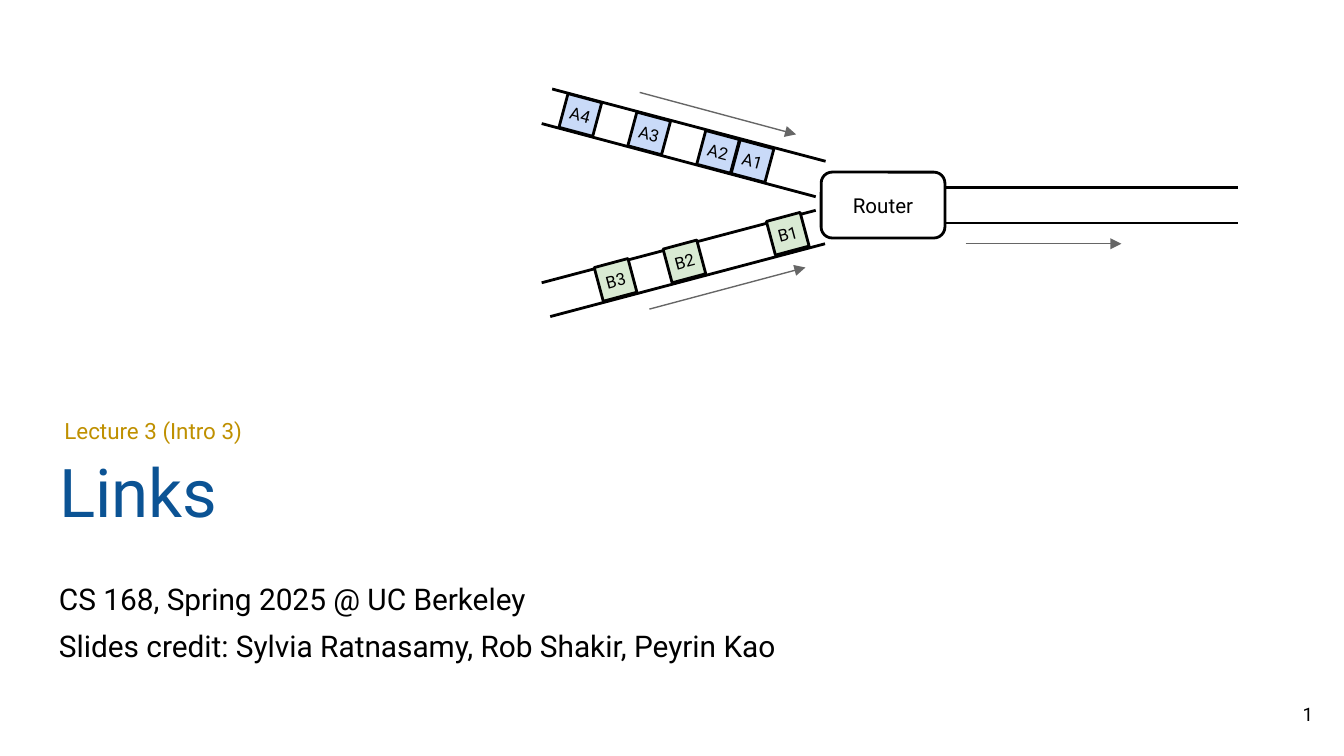
import math

from lxml import etree
from pptx import Presentation
from pptx import util as u
from pptx.dml.color import RGBColor
from pptx.enum import shapes, text
from pptx.oxml.ns import qn

BLACK, GREY, BLUE, GOLD = "000000", "666666", "0B5394", "BF9000"
PACKET_BLUE, PACKET_GREEN = "C9DAF8", "D9EAD3"
LEFT, CENTER, RIGHT = text.PP_ALIGN.LEFT, text.PP_ALIGN.CENTER, text.PP_ALIGN.RIGHT
TOP, MIDDLE, BOTTOM = (text.MSO_ANCHOR.TOP, text.MSO_ANCHOR.MIDDLE,
                       text.MSO_ANCHOR.BOTTOM)


def color(value):
    return RGBColor.from_string(value)


def write(frame, content, size=12, fill=BLACK, font="Roboto", align=LEFT,
          anchor=TOP, inset=7.2, gap=0, wrap=True):
    """Fill a text frame, one paragraph per line, with gap points between."""
    frame.auto_size = text.MSO_AUTO_SIZE.NONE
    frame.word_wrap = wrap
    frame.vertical_anchor = anchor
    frame.margin_left = frame.margin_right = u.Pt(inset)
    frame.margin_top = frame.margin_bottom = u.Pt(inset)
    for i, line in enumerate(content.split("\n")):
        paragraph = frame.add_paragraph() if i else frame.paragraphs[0]
        paragraph.alignment = align
        paragraph.space_before = u.Pt(gap if i else 0)
        run = paragraph.add_run()
        run.text = line
        run.font.name, run.font.size = font, u.Pt(size)
        run.font.color.rgb = color(fill)


class Deck:
    """Holds the line style and the current slide."""
    stroke = 1.5
    thin = 0.75

    def __init__(self, width, height):
        self.file = Presentation()
        self.file.slide_width, self.file.slide_height = u.Pt(width), u.Pt(height)
        self.slide = self.file.slides.add_slide(self.file.slide_layouts[5])

    def title(self, box, content, **style):
        heading = self.slide.shapes.title
        heading.left, heading.top, heading.width, heading.height = map(u.Pt, box)
        write(heading.text_frame, content, **style)

    def label(self, box, content, **style):
        area = self.slide.shapes.add_textbox(*map(u.Pt, box))
        write(area.text_frame, content, **style)

    def block(self, kind, box, content, fill=None, angle=0, **style):
        shape = self.slide.shapes.add_shape(kind, *map(u.Pt, box))
        shape.shadow.inherit = False
        shape.rotation = angle
        if fill:
            shape.fill.solid()
            shape.fill.fore_color.rgb = color(fill)
        else:
            shape.fill.background()
        shape.line.color.rgb = color(BLACK)
        shape.line.width = u.Pt(self.stroke)
        write(shape.text_frame, content, align=CENTER, anchor=MIDDLE, **style)

    def line(self, ends, arrow=False):
        link = self.slide.shapes.add_connector(
            shapes.MSO_CONNECTOR.STRAIGHT, *map(u.Pt, ends))
        link.line.color.rgb = color(GREY if arrow else BLACK)
        link.line.width = u.Pt(self.thin if arrow else self.stroke)
        if arrow:
            etree.SubElement(link.line._get_or_add_ln(), qn("a:tailEnd"),
                             type="triangle")
        etree.SubElement(link._element.spPr, qn("a:effectLst"))

    def packets(self, name, slots, start, angle, fill):
        """Place numbered packets in slots counted back from the router."""
        side, pitch = 18.7, 19.1
        turn = math.radians(angle)
        for number, slot in enumerate(slots, 1):
            left = start[0] - slot * pitch * math.cos(turn)
            top = start[1] - slot * pitch * math.sin(turn)
            self.block(shapes.MSO_SHAPE.RECTANGLE, (left, top, side, side),
                       f"{name}{number}", fill, angle % 360,
                       size=9, inset=0, wrap=False)


def main():
    deck = Deck(720, 405)

    # Lecture heading, credits and page number
    deck.title((24.5, 130.3, 685.4, 161.3), "Links", size=36, fill=BLUE,
               anchor=BOTTOM)
    deck.label((27.4, 216, 217.4, 22.3), "Lecture 3 (Intro 3)", fill=GOLD)
    deck.label((24.5, 303.8, 671, 63.4),
               "CS 168, Spring 2025 @ UC Berkeley\n"
               "Slides credit: Sylvia Ratnasamy, Rob Shakir, Peyrin Kao",
               size=16, gap=6)
    deck.label((667.4, 367.2, 43.2, 31), "1", size=10, align=RIGHT, anchor=MIDDLE)

    # Edges of the two incoming links and the outgoing link
    for edge in [(295.8, 47.7, 442.3, 86.4), (290.2, 66.2, 437, 105.4),
                 (290.2, 151.5, 437, 112.7), (294.8, 169.6, 442, 130.6),
                 (506.2, 100.3, 663.3, 100.3), (506.2, 119.5, 663.3, 119.5)]:
        deck.line(edge)

    # Packets waiting on links A and B
    deck.packets("A", (0, 1, 3, 5), (393.8, 77), 15, PACKET_BLUE)
    deck.packets("B", (0, 3, 5), (412.7, 115.9), -15, PACKET_GREEN)

    # Router
    deck.block(shapes.MSO_SHAPE.ROUNDED_RECTANGLE, (439.9, 92.2, 66.3, 35.3),
               "Router", size=11)

    # Direction of travel
    for direction in [(342.7, 49.5, 426.5, 72), (347.9, 165.6, 431.5, 143.3),
                      (517.3, 130.6, 600.8, 130.6)]:
        deck.line(direction, arrow=True)

    deck.file.save("out.pptx")


if __name__ == "__main__":
    main()
